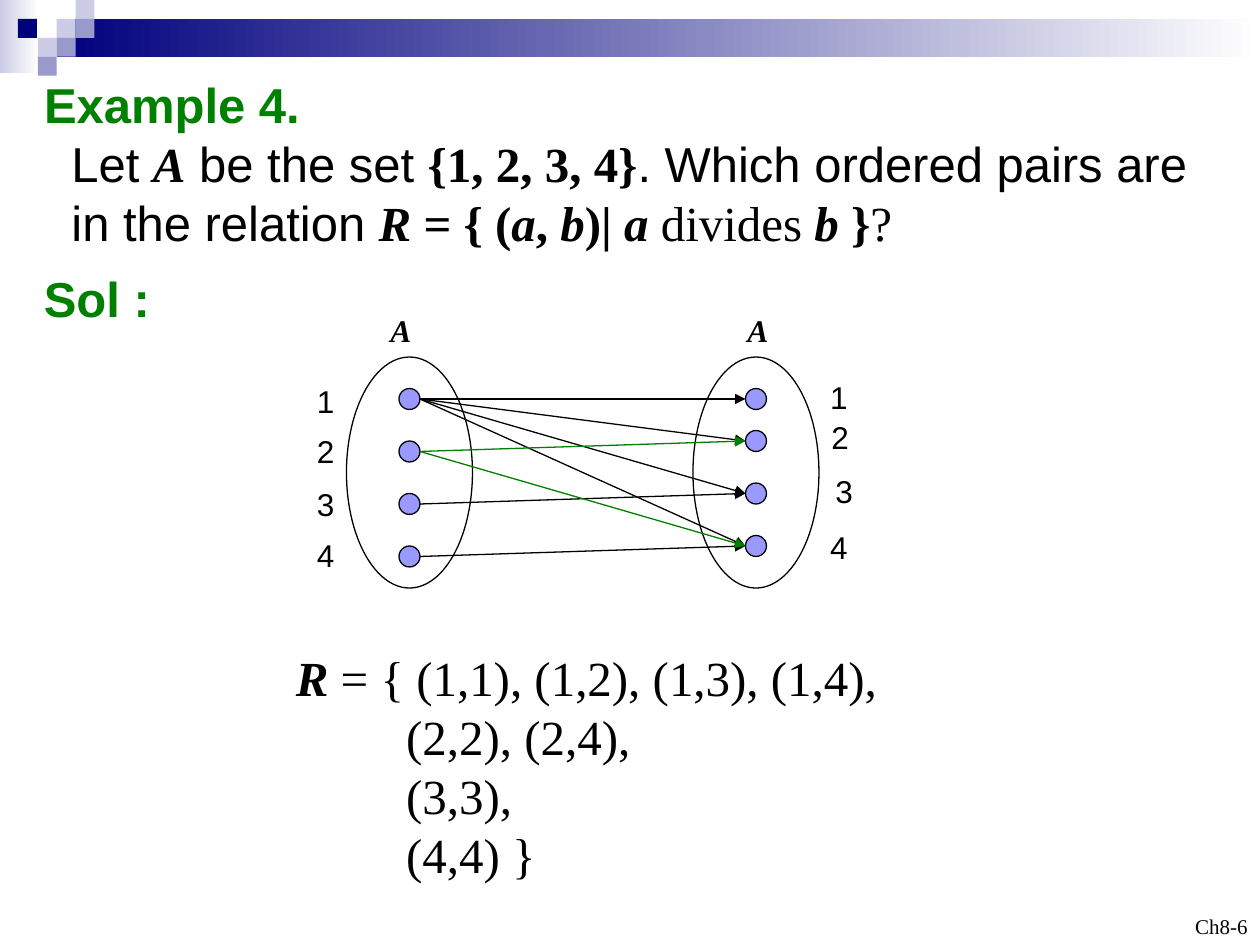
from lxml import etree
from pptx import Presentation
from pptx import util as u
from pptx.dml.color import RGBColor
from pptx.enum import shapes, text
from pptx.oxml.ns import qn

Pt = u.Pt
HUES = {"ink": "000000", "green": "008000", "dot": "9999FF", "navy": "00007D",
        "pale": "CCCCE6", "mid": "9999CC", "white": "FFFFFF"}
SANS, SERIF = "Arial", "Times New Roman"
OVAL, RECT = shapes.MSO_SHAPE.OVAL, shapes.MSO_SHAPE.RECTANGLE


def hue(name):
    """Return the colour of that name."""
    return RGBColor.from_string(HUES[name])


def style(font, face, marks=""):
    """Set the face, with bold for b and italic for i."""
    font.name = face
    font.bold = "b" in marks
    font.italic = "i" in marks


def write(frame, lines, size, color="ink", pitch=None, align=text.PP_ALIGN.LEFT):
    """Fill a frame with lines, each an indent and its (words, face, marks) runs."""
    frame.word_wrap = True
    for num, (dent, runs) in enumerate(lines):
        para = frame.add_paragraph() if num else frame.paragraphs[0]
        para.alignment = align
        para.line_spacing = pitch
        if dent:
            para._p.get_or_add_pPr().set("marL", str(Pt(dent)))
        para.font.size = Pt(size)
        para.font.color.rgb = hue(color)
        for words, face, marks in runs:
            run = para.add_run()
            run.text = words
            style(para.font if len(runs) == 1 else run.font, face, marks)


def label(slide, box, lines, size, **opts):
    """Add a text box and return its frame."""
    frame = slide.shapes.add_textbox(*map(Pt, box)).text_frame
    write(frame, lines, size, **opts)
    return frame


def shape(slide, kind, box, fill=None, line=None, fade=False):
    """Add a flat shape with a plain, fading or empty fill."""
    item = slide.shapes.add_shape(kind, *map(Pt, box))
    item.shadow.inherit = False
    if fade:
        item.fill.gradient()
        item.fill.gradient_angle = 0
        for stop, name in zip(item.fill.gradient_stops, (fill, "white")):
            stop.color.rgb = hue(name)
    elif fill:
        item.fill.solid()
        item.fill.fore_color.rgb = hue(fill)
    else:
        item.fill.background()
    if line:
        item.line.color.rgb = hue(line)
        item.line.width = Pt(0.75)
    else:
        item.line.fill.background()


def arrow(slide, start, end, color):
    """Draw a thin arrow between two points."""
    item = slide.shapes.add_connector(shapes.MSO_CONNECTOR.STRAIGHT, *map(Pt, start + end))
    item.line.color.rgb = hue(color)
    item.line.width = Pt(0.75)
    etree.SubElement(item.line._get_or_add_ln(), qn("a:tailEnd"), type="triangle")
    etree.SubElement(item._element.spPr, qn("a:effectLst"))


def banner(slide, x, y, wide):
    """Draw the fading bar and its mosaic of squares."""
    cell = 10.8
    shape(slide, RECT, (x, y, 22.3, 41.8), "pale", fade=True)
    shape(slide, RECT, (x + 32.4, y + cell, wide - 32.4, 2 * cell), "navy", fade=True)
    tiles = [(3, 1, "pale"), (4, 0, "pale"), (4, 1, "mid"), (2, 2, "pale"),
             (0.95, 1, "navy"), (3, 2, "mid"), (2, 3, "mid")]
    for col, row, name in tiles:
        shape(slide, RECT, (x + col * cell, y + row * cell, cell, cell), name)


def heading(slide, x, y, wide, high):
    """Place the question in the title and the solution mark below it."""
    title = slide.shapes.title
    title.left, title.top, title.width, title.height = map(Pt, (x, y, wide, high))
    frame = title.text_frame
    frame.auto_size = text.MSO_AUTO_SIZE.NONE
    frame.vertical_anchor = text.MSO_ANCHOR.MIDDLE
    lines = [
        (0, [("Example 4.", SANS, "b")]),
        (15.6, [("Let ", SANS, ""), ("A", SERIF, "bi"), (" be the set ", SANS, ""),
                ("{1, 2, 3, 4}", SERIF, "b"), (". Which ordered pairs are", SANS, "")]),
        (15.6, [("in the relation ", SANS, ""), ("R ", SERIF, "bi"), ("= { (", SERIF, "b"),
                ("a", SERIF, "bi"), (", ", SERIF, "b"), ("b", SERIF, "bi"),
                (")| ", SERIF, "b"), ("a", SERIF, "bi"), (" divides ", SERIF, ""),
                ("b", SERIF, "bi"), (" }", SERIF, "b"), ("?", SERIF, "")]),
    ]
    write(frame, lines, 28, pitch=Pt(33.7))
    frame.paragraphs[0].font.color.rgb = hue("green")
    label(slide, (x, y + high, 84, 42), [(0, [("Sol :", SANS, "b")])], 28, color="green")


def group(slide, x, y, name, rows, marks):
    """Draw one set as an oval with dots, numbers and a name."""
    shape(slide, OVAL, (x, y, 72, 132), line="ink")
    for row in rows:
        shape(slide, OVAL, (x + 30, y + row - 6, 12, 12), "dot", "ink")
    for num, (left, top) in enumerate(marks, 1):
        label(slide, (x + left, y + top, 26, 28.8), [(0, [(str(num), SANS, "")])], 18)
    label(slide, (x + name, y - 30, 27, 28.8), [(0, [("A", SERIF, "bi")])], 18)


def graph(slide, x, y):
    """Draw both sets and an arrow for each pair that divides."""
    gap = 198
    left, right = (24, 54, 84, 114), (24, 48, 78, 108)
    group(slide, x, y, 18, left, [(-24, 10.8), (-24, 39.6), (-24, 69.8), (-24, 98.6)])
    group(slide, x + gap, y, 24, right, [(71.3, 8.4), (72, 31.4), (74.2, 62.4), (71.3, 94.1)])
    for a in (1, 3, 4, 2):
        for b in range(a, 5, a):
            arrow(slide, (x + 42, y + left[a - 1]), (x + gap + 30, y + right[b - 1]),
                  "green" if a == 2 else "ink")


def answer(slide, x, y):
    """List the pairs of the relation."""
    lines = [(0, [("R", SERIF, "bi"), (" = { (1,1), (1,2), (1,3), (1,4),", SERIF, "")])]
    lines += [(63, [(row, SERIF, "")]) for row in ("(2,2), (2,4),", "(3,3),", "(4,4) }")]
    label(slide, (x, y, 360, 142), lines, 28, pitch=Pt(33.7))


def footer(slide, x, y, wide, high):
    """Put the page mark in the corner."""
    frame = label(slide, (x, y, wide, high), [(0, [("Ch8-6", SERIF, "")])], 12,
                  align=text.PP_ALIGN.RIGHT)
    frame.vertical_anchor = text.MSO_ANCHOR.BOTTOM


def main():
    """Build the slide and save it."""
    deck = Presentation()
    deck.slide_width, deck.slide_height = Pt(720), Pt(540)
    slide = deck.slides.add_slide(deck.slide_layouts[5])
    banner(slide, 0, 0, 720)
    heading(slide, 18, 36, 702, 114)
    graph(slide, 198, 204)
    answer(slide, 162, 366.5)
    footer(slide, 552, 504, 168, 36)
    deck.save("out.pptx")


if __name__ == "__main__":
    main()
